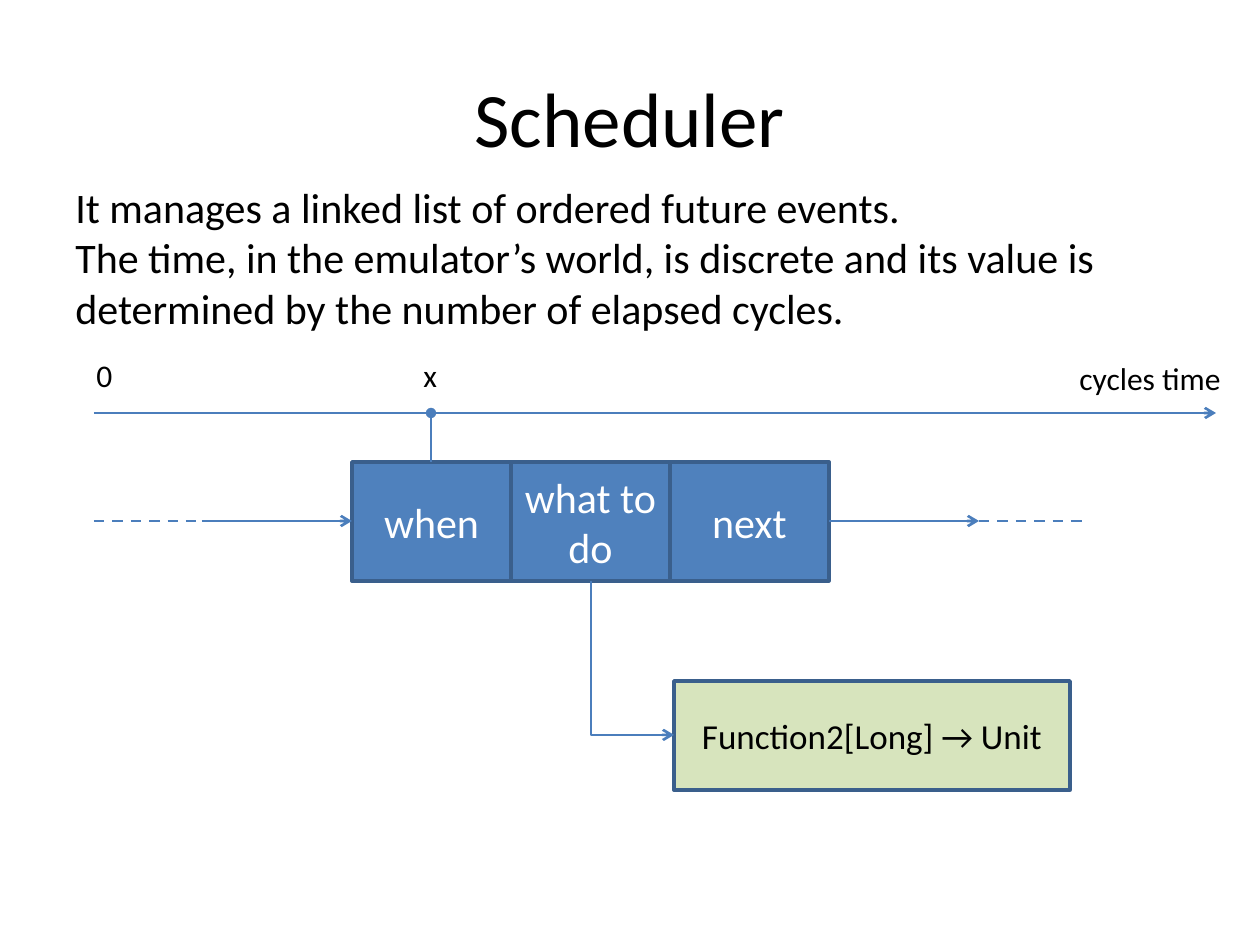
from lxml import etree
from pptx import Presentation
from pptx.dml.color import RGBColor
from pptx.enum.dml import MSO_LINE
from pptx.enum.shapes import MSO_CONNECTOR, MSO_SHAPE
from pptx.enum.text import MSO_ANCHOR, PP_ALIGN
from pptx.oxml.ns import qn
from pptx.util import Pt

PX = 914400 / 126
FONT = "Calibri"
BLACK, WHITE = "000000", "FFFFFF"
BLUE, EDGE, LINE, GREEN = "4F81BD", "3A5F8C", "4B7EBC", "D7E4BD"
LEFT, CENTER = PP_ALIGN.LEFT, PP_ALIGN.CENTER
TOP, MIDDLE = MSO_ANCHOR.TOP, MSO_ANCHOR.MIDDLE
RECT, DASH = MSO_SHAPE.RECTANGLE, MSO_LINE.DASH
STRAIGHT, ELBOW = MSO_CONNECTOR.STRAIGHT, MSO_CONNECTOR.ELBOW


def emu(*lengths):
    """Turn px lengths into EMU."""
    return [round(n * PX) for n in lengths]


def rgb(color):
    """Turn a hex string into a colour."""
    return RGBColor.from_string(color)


def write(sp, text, size=24, color=BLACK, align=LEFT, anchor=TOP, wrap=True):
    """Write one formatted paragraph into a shape."""
    tf = sp.text_frame
    tf.word_wrap = wrap
    tf.vertical_anchor = anchor
    p = tf.paragraphs[0]
    p.text = text
    p.alignment = align
    for r in p.runs:
        r.font.name = FONT
        r.font.size = Pt(size)
        r.font.color.rgb = rgb(color)


def add_text(s, box, text, **fmt):
    """Add a text box."""
    write(s.shapes.add_textbox(*emu(*box)), text, **fmt)


def add_box(s, box, text, fill, **fmt):
    """Add an outlined rectangle with centred text."""
    sp = s.shapes.add_shape(RECT, *emu(*box))
    sp.shadow.inherit = False
    sp.fill.solid()
    sp.fill.fore_color.rgb = rgb(fill)
    sp.line.color.rgb = rgb(EDGE)
    sp.line.width = Pt(2)
    write(sp, text, align=CENTER, anchor=MIDDLE, **fmt)


def add_line(s, x1, y1, x2, y2, end=None, dash=None, kind=STRAIGHT):
    """Add a connector with an optional end mark and dash."""
    c = s.shapes.add_connector(kind, *emu(x1, y1, x2, y2))
    c.line.color.rgb = rgb(LINE)
    c.line.width = Pt(1.5)
    if dash:
        c.line.dash_style = dash
    if end:
        etree.SubElement(c.line._get_or_add_ln(), qn("a:tailEnd"), type=end)
    etree.SubElement(c._element.spPr, qn("a:effectLst"))
    return c


def add_corner(s, x1, y1, x2, y2):
    """Add an arrow that runs down and then right."""
    cx, cy = (x1 + x2) / 2, (y1 + y2) / 2
    dx, dy = (x2 - x1) / 2, (y2 - y1) / 2
    c = add_line(s, cx + dy, cy - dx, cx - dy, cy + dx, end="arrow", kind=ELBOW)
    spPr = c._element.spPr
    spPr.find(qn("a:xfrm")).set("rot", "16200000")
    spPr.find(qn("a:prstGeom")).set("prst", "bentConnector2")


def add_heading(s, x, y, w):
    """Place the title and the introduction below it."""
    title = s.shapes.title
    title.left, title.top, title.width, title.height = emu(x, y, w, 158)
    write(title, "Scheduler", size=44, align=CENTER, anchor=MIDDLE)
    add_text(s, (x, y + 137, w - 11, 183),
             "It manages a linked list of ordered future events.\v"
             "The time, in the emulator’s world, is discrete and its value is "
             "determined by the number of elapsed cycles.")


def add_timeline(s, x, y, w, mark):
    """Draw the time axis with its labels."""
    add_line(s, x, y, x + w, y, end="arrow")
    labels = (("0", x - 10, y - 63, 42), ("x", mark - 21, y - 63, 39),
              ("cycles time", x + w - 149, y - 60, 169))
    for text, left, top, width in labels:
        add_text(s, (left, top, width, 50), text, size=18, wrap=False)


def add_event(s, x, y, w, h, axis):
    """Draw one list node, its links and the mark on the axis."""
    cell, solid, dashed = w // 3, 150, 108
    mid, right = y + h // 2, x + w
    for i, text in enumerate(("when", "what to do", "next")):
        add_box(s, (x + i * cell, y, cell, h), text, BLUE, color=WHITE)
    add_line(s, x - solid, mid, x, mid, end="arrow")
    add_line(s, x - solid - dashed, mid, x - solid, mid, dash=DASH)
    add_line(s, right, mid, right + solid, mid, end="arrow")
    add_line(s, right + solid, mid, right + solid + dashed, mid, dash=DASH)
    add_line(s, x + cell // 2, y, x + cell // 2, axis, end="oval")


def add_action(s, x, y, w, h, start):
    """Draw the function box and the arrow that leads to it."""
    add_box(s, (x, y, w, h), "Function2[Long] → Unit", GREEN, size=20)
    add_corner(s, *start, x, y + h // 2)


def main():
    """Build the slide."""
    prs = Presentation()
    prs.slide_width, prs.slide_height = emu(1260, 945)
    s = prs.slides.add_slide(prs.slide_layouts[5])
    add_heading(s, 63, 38, 1134)
    add_timeline(s, 94, 413, 1122, 432)
    add_event(s, 352, 462, 477, 119, 413)
    add_action(s, 674, 681, 396, 109, (591, 581))
    prs.save("out.pptx")


if __name__ == "__main__":
    main()
